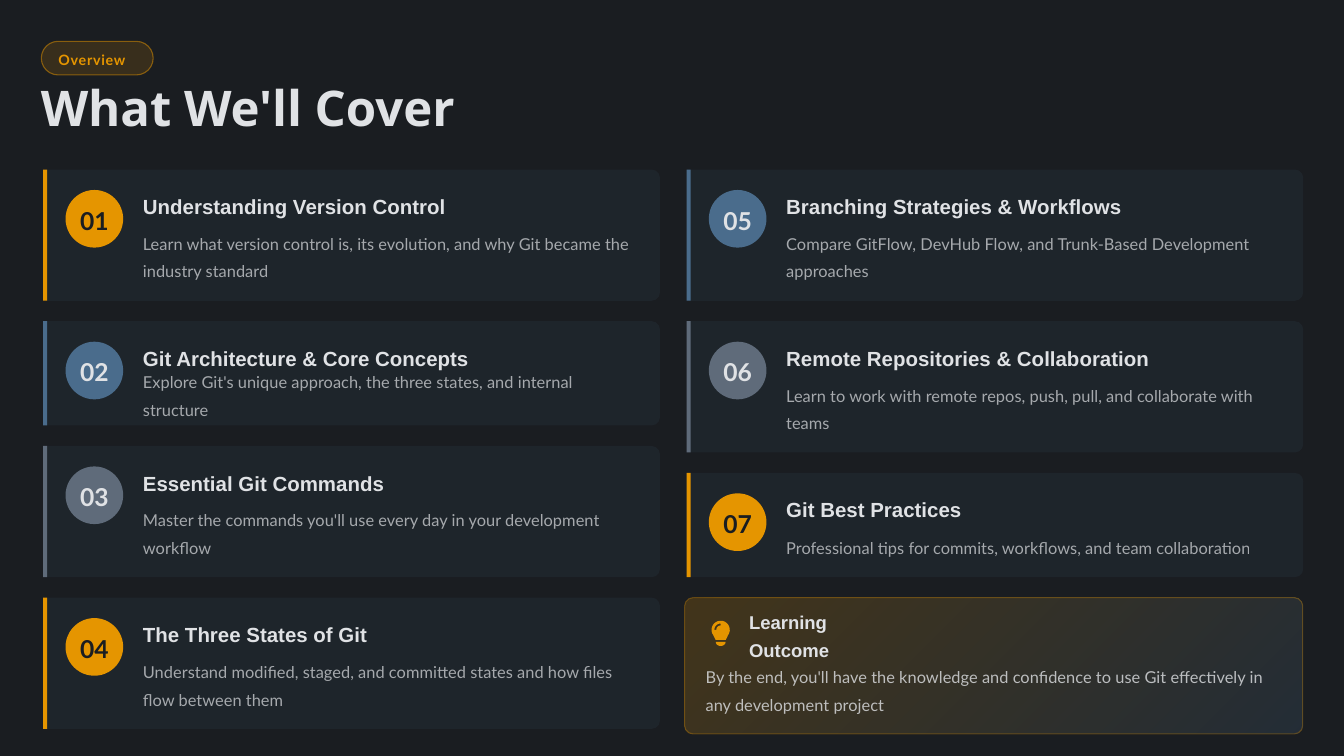
from dataclasses import dataclass
from math import cos, radians, sin

from pptx import Presentation
from pptx.dml.color import RGBColor
from pptx.enum.shapes import MSO_SHAPE
from pptx.enum.text import MSO_ANCHOR, PP_ALIGN
from pptx.oxml.ns import qn
from pptx.oxml.xmlchemy import OxmlElement
from pptx.util import Pt

DARK = RGBColor(0x1A, 0x1D, 0x21)
LIGHT = RGBColor(0xE0, 0xE2, 0xE5)
AMBER = RGBColor(0xE5, 0x95, 0x00)
BLUE = RGBColor(0x4A, 0x6C, 0x8C)
GREY = RGBColor(0x5F, 0x6B, 0x7A)

COLUMN_LEFTS = (30.9, 490.4)
CARDS_TOP, CARD_GAP, CARD_WIDTH = 121.1, 14.6, 440.5
TALL, SHORT = 93.75, 74.5
CORNER = 6


@dataclass(frozen=True)
class Style:
    """Look of one piece of text."""
    size: float
    font: str
    spacing: float
    color: RGBColor = LIGHT
    bold: bool = True
    opacity: int = 100
    tracking: float = 0


@dataclass(frozen=True)
class Topic:
    """One numbered agenda card."""
    title: str
    summary: str
    color: RGBColor
    height: float = TALL


BADGE = Style(10.2, "Lato", 1.2, AMBER, tracking=0.5)
HEADING = Style(35.1, "Open Sans", 0.8)
CARD_TITLE = Style(14.6, "Arial", 1.2)
SUMMARY = Style(11.7, "Lato", 1.4, bold=False, opacity=70)
OUTCOME_TITLE = Style(13.2, "Arial", 1.3)
OUTCOME_TEXT = Style(11.7, "Lato", 1.4, bold=False, opacity=80)

COLUMNS = (
    (
        Topic("Understanding Version Control",
              "Learn what version control is, its evolution, and why Git became "
              "the industry standard", AMBER),
        Topic("Git Architecture & Core Concepts",
              "Explore Git's unique approach, the three states, and internal "
              "structure", BLUE, SHORT),
        Topic("Essential Git Commands",
              "Master the commands you'll use every day in your development "
              "workflow", GREY),
        Topic("The Three States of Git",
              "Understand modified, staged, and committed states and how files "
              "flow between them", AMBER),
    ),
    (
        Topic("Branching Strategies & Workflows",
              "Compare GitFlow, DevHub Flow, and Trunk-Based Development "
              "approaches", BLUE),
        Topic("Remote Repositories & Collaboration",
              "Learn to work with remote repos, push, pull, and collaborate "
              "with teams", GREY),
        Topic("Git Best Practices",
              "Professional tips for commits, workflows, and team collaboration",
              AMBER, SHORT),
    ),
)


def set_opacity(element, percent: int) -> None:
    """Give every colour below an XML element the same opacity."""
    for color in element.iter(qn("a:srgbClr")):
        alpha = OxmlElement("a:alpha")
        alpha.set("val", str(percent * 1000))
        color.append(alpha)


def add_block(slide, kind, left: float, top: float, width: float, height: float,
              color: RGBColor, opacity: int = 100):
    """Add a filled preset shape without outline or shadow."""
    shape = slide.shapes.add_shape(kind, Pt(left), Pt(top), Pt(width), Pt(height))
    shape.shadow.inherit = False
    shape.fill.solid()
    shape.fill.fore_color.rgb = color
    if opacity < 100:
        set_opacity(shape._element.spPr, opacity)
    shape.line.fill.background()
    return shape


def outline(shape, opacity: int) -> None:
    """Draw a thin translucent amber border."""
    shape.line.color.rgb = AMBER
    shape.line.width = Pt(0.8)
    set_opacity(shape._element.spPr.find(qn("a:ln")), opacity)


def write(frame, text: str, style: Style, align=PP_ALIGN.LEFT, wrap: bool = True) -> None:
    """Fill a text frame with one vertically centred paragraph."""
    frame.margin_left = frame.margin_right = frame.margin_top = frame.margin_bottom = 0
    frame.vertical_anchor = MSO_ANCHOR.MIDDLE
    frame.word_wrap = wrap
    paragraph = frame.paragraphs[0]
    paragraph.alignment, paragraph.line_spacing = align, style.spacing
    run = paragraph.add_run()
    run.text = text
    run.font.size, run.font.name, run.font.bold = Pt(style.size), style.font, style.bold
    run.font.color.rgb = style.color
    if style.opacity < 100:
        set_opacity(run._r, style.opacity)
    if style.tracking:
        run._r.get_or_add_rPr().set("spc", str(round(style.tracking * 100)))


def add_text(slide, left: float, top: float, width: float, height: float,
             text: str, style: Style) -> None:
    """Add a wrapped text box."""
    box = slide.shapes.add_textbox(Pt(left), Pt(top), Pt(width), Pt(height))
    write(box.text_frame, text, style)


def add_card(slide, left: float, top: float, number: int, topic: Topic) -> None:
    """Draw a topic card: panel, accent bar, number disc and texts."""
    height = topic.height
    shift = (CARD_WIDTH - height) / 2
    # Turned a quarter so that the two rounded corners face right
    panel = add_block(slide, MSO_SHAPE.ROUND_2_SAME_RECTANGLE, left + shift, top - shift,
                      height, CARD_WIDTH, BLUE, 10)
    panel.rotation = 90
    panel.adjustments[0] = CORNER / height
    add_block(slide, MSO_SHAPE.RECTANGLE, left, top, 2.9, height, topic.color)
    disc = add_block(slide, MSO_SHAPE.OVAL, left + 15.9, top + 14.6, 41.2, 41.2, topic.color)
    digits = Style(17.6, "Lato", 1.1, DARK if topic.color == AMBER else LIGHT)
    write(disc.text_frame, f"{number:02}", digits, PP_ALIGN.CENTER, wrap=False)
    add_text(slide, left + 71.2, top + 14.6, 361.4, 20, topic.title, CARD_TITLE)
    summary_width = 360 if height == TALL else 354
    add_text(slide, left + 71.2, top + 41.1, summary_width, height - 55.6,
             topic.summary, SUMMARY)


def arc(cx: float, cy: float, rx: float, ry: float, start: int, end: int) -> list:
    """Return points along an elliptical arc, angles in degrees, clockwise."""
    angles = [radians(start + (end - start) * step / 24) for step in range(25)]
    return [(Pt(cx + rx * cos(a)), Pt(cy + ry * sin(a))) for a in angles]


def add_bulb(slide, cx: float, cy: float) -> None:
    """Draw the light bulb icon around the centre of its glass."""
    glass = arc(cx, cy, 6.5, 6.5, 145, 395)
    glass += [(Pt(cx + 3.6), Pt(cy + 7.2)), (Pt(cx - 3.6), Pt(cy + 7.2))]
    base = arc(cx, cy + 8.6, 3.5, 2.9, 0, 180)
    shine = arc(cx, cy, 4.5, 4.5, 180, 270) + arc(cx, cy, 3.1, 3.1, 270, 180)
    builder = slide.shapes.build_freeform(*glass[0])
    builder.add_line_segments(glass[1:])
    for contour in (base, shine):
        builder.move_to(*contour[0])
        builder.add_line_segments(contour[1:])
    bulb = builder.convert_to_shape()
    bulb.shadow.inherit = False
    bulb.fill.solid()
    bulb.fill.fore_color.rgb = AMBER
    bulb.line.fill.background()


def add_outcome(slide, left: float, top: float) -> None:
    """Draw the gradient panel with the learning outcome."""
    panel = add_block(slide, MSO_SHAPE.ROUNDED_RECTANGLE, left, top, 441.5, 97.3, AMBER)
    panel.adjustments[0] = CORNER / 97.3
    panel.fill.gradient()
    panel.fill.gradient_angle = 315
    for stop, color in zip(panel.fill.gradient_stops, (AMBER, BLUE)):
        stop.color.rgb = color
    set_opacity(panel._element.spPr, 20)
    outline(panel, 30)
    add_bulb(slide, left + 25.8, top + 23)
    add_text(slide, left + 46, top + 15.1, 114.5, 20, "Learning Outcome", OUTCOME_TITLE)
    add_text(slide, left + 15, top + 44.6, 417, 38.2,
             "By the end, you'll have the knowledge and confidence to use Git "
             "effectively in any development project", OUTCOME_TEXT)


def main() -> None:
    """Build and save the agenda slide."""
    deck = Presentation()
    deck.slide_width, deck.slide_height = Pt(960), Pt(540)
    slide = deck.slides.add_slide(deck.slide_layouts[6])
    slide.background.fill.solid()
    slide.background.fill.fore_color.rgb = DARK

    badge = add_block(slide, MSO_SHAPE.ROUNDED_RECTANGLE, 29.5, 29.5, 79.9, 24, AMBER, 15)
    badge.adjustments[0] = 0.5
    outline(badge, 50)
    add_text(slide, 41.8, 36, 60.5, 11.5, "Overview", BADGE)
    add_text(slide, 29.2, 62.6, 918.7, 35.3, "What We'll Cover", HEADING)

    number = 1
    for left, topics in zip(COLUMN_LEFTS, COLUMNS):
        top = CARDS_TOP
        for topic in topics:
            add_card(slide, left, top, number, topic)
            top += topic.height + CARD_GAP
            number += 1
    add_outcome(slide, 489, top)
    deck.save("out.pptx")


main()
